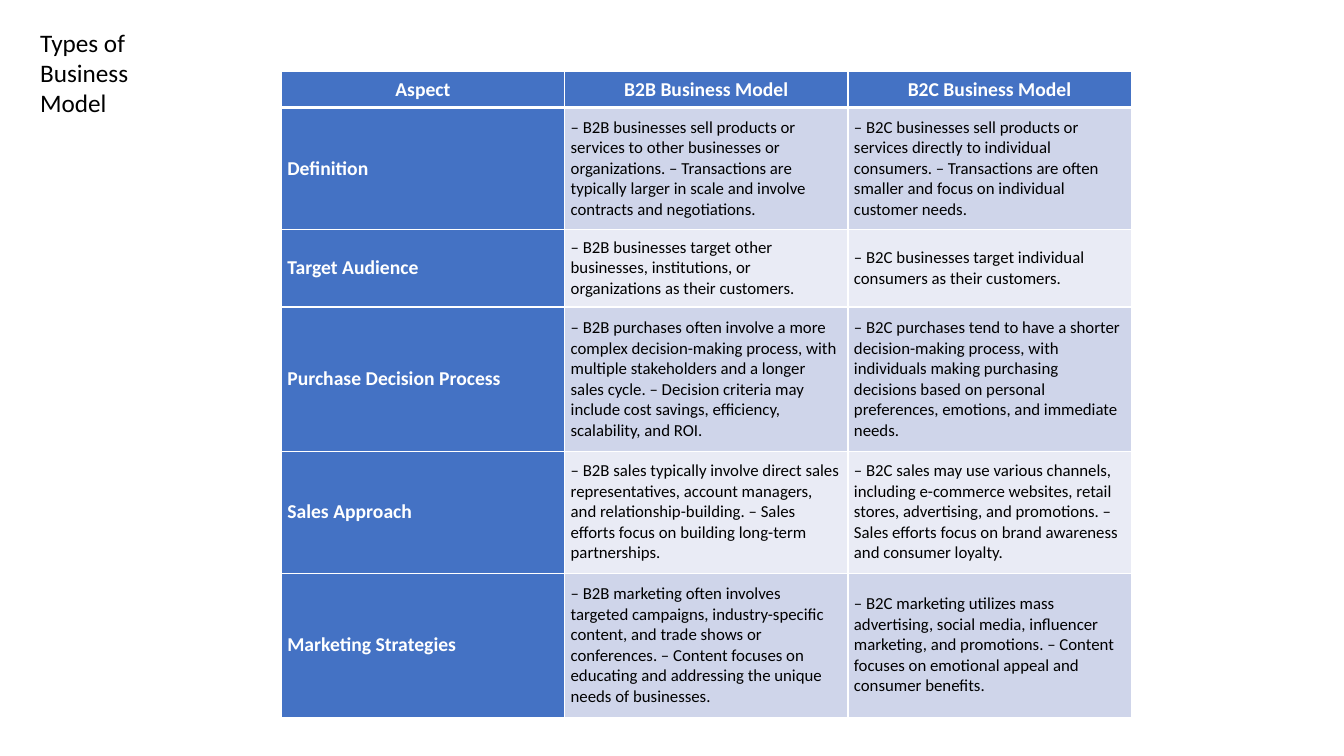
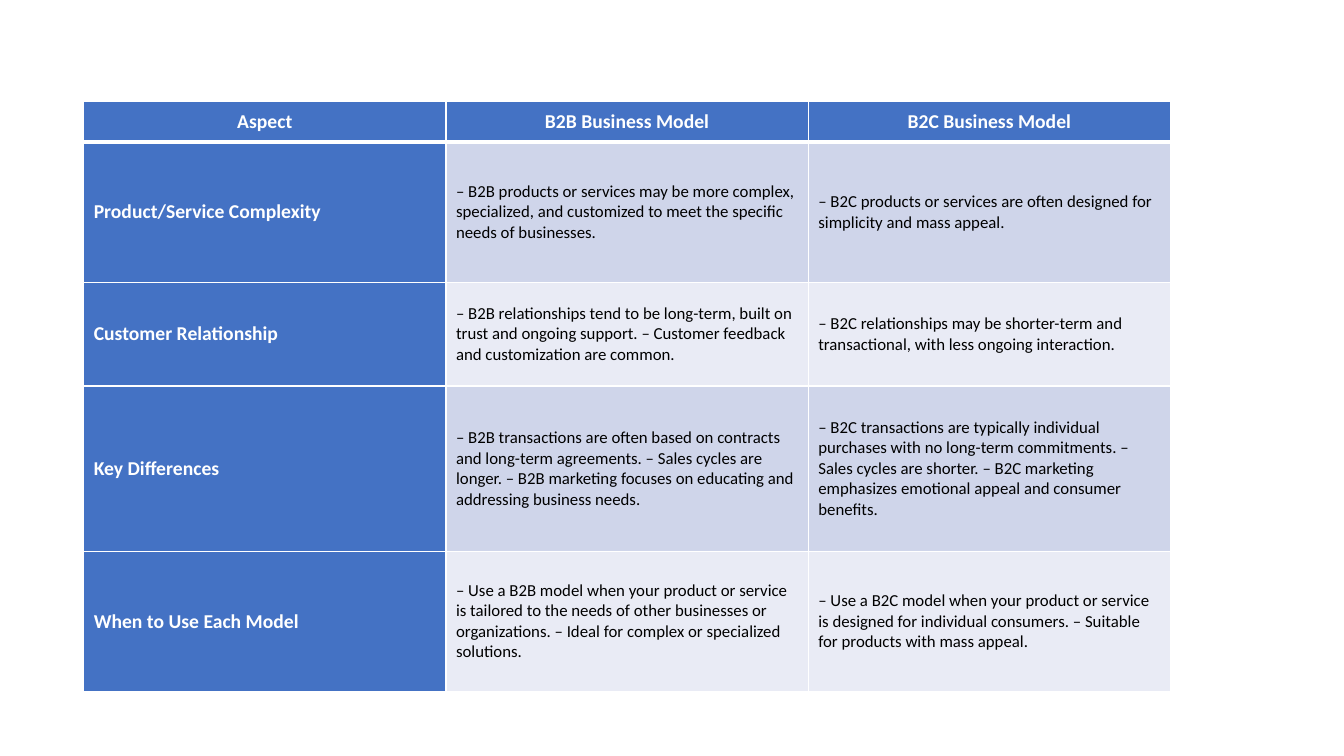
from dataclasses import dataclass

from lxml import etree
from pptx import Presentation
from pptx.dml.color import RGBColor
from pptx.enum.text import MSO_ANCHOR, MSO_AUTO_SIZE, PP_ALIGN
from pptx.oxml.ns import qn
from pptx.util import Inches, Pt

MIDDLE = MSO_ANCHOR.MIDDLE
CENTER, LEFT = PP_ALIGN.CENTER, PP_ALIGN.LEFT
FIT_SHAPE = MSO_AUTO_SIZE.SHAPE_TO_FIT_TEXT
BLANK_LAYOUT = 6


@dataclass(frozen=True)
class Theme:
    font: str = "Calibri"
    accent: str = "4472C4"
    bands: tuple = ("CFD5EA", "E9EBF5")
    light: str = "FFFFFF"
    dark: str = "000000"
    title_size: int = 18
    heading_size: int = 14
    body_size: int = 12
    rule: int = 1
    header_rule: int = 3


THEME = Theme()

# Table content: aspect, B2B, B2C
HEADER = ("Aspect", "B2B Business Model", "B2C Business Model")
MODEL_TYPES = [
    ("Definition",
     "– B2B businesses sell products or services to other businesses or organizations. "
     "– Transactions are typically larger in scale and involve contracts and negotiations.",
     "– B2C businesses sell products or services directly to individual consumers. "
     "– Transactions are often smaller and focus on individual customer needs."),
    ("Target Audience",
     "– B2B businesses target other businesses, institutions, or organizations as their customers.",
     "– B2C businesses target individual consumers as their customers."),
    ("Purchase Decision Process",
     "– B2B purchases often involve a more complex decision-making process, with multiple "
     "stakeholders and a longer sales cycle. – Decision criteria may include cost savings, "
     "efficiency, scalability, and ROI.",
     "– B2C purchases tend to have a shorter decision-making process, with individuals making "
     "purchasing decisions based on personal preferences, emotions, and immediate needs."),
    ("Sales Approach",
     "– B2B sales typically involve direct sales representatives, account managers, and "
     "relationship-building. – Sales efforts focus on building long-term partnerships.",
     "– B2C sales may use various channels, including e-commerce websites, retail stores, "
     "advertising, and promotions. – Sales efforts focus on brand awareness and consumer loyalty."),
    ("Marketing Strategies",
     "– B2B marketing often involves targeted campaigns, industry-specific content, and trade "
     "shows or conferences. – Content focuses on educating and addressing the unique needs of "
     "businesses.",
     "– B2C marketing utilizes mass advertising, social media, influencer marketing, and "
     "promotions. – Content focuses on emotional appeal and consumer benefits."),
]
MODEL_CHOICE = [
    ("Product/Service Complexity",
     "– B2B products or services may be more complex, specialized, and customized to meet the "
     "specific needs of businesses.",
     "– B2C products or services are often designed for simplicity and mass appeal."),
    ("Customer Relationship",
     "– B2B relationships tend to be long-term, built on trust and ongoing support. "
     "– Customer feedback and customization are common.",
     "– B2C relationships may be shorter-term and transactional, with less ongoing interaction."),
    ("Key Differences",
     "– B2B transactions are often based on contracts and long-term agreements. – Sales cycles "
     "are longer. – B2B marketing focuses on educating and addressing business needs.",
     "– B2C transactions are typically individual purchases with no long-term commitments. "
     "– Sales cycles are shorter. – B2C marketing emphasizes emotional appeal and consumer "
     "benefits."),
    ("When to Use Each Model",
     "– Use a B2B model when your product or service is tailored to the needs of other "
     "businesses or organizations. – Ideal for complex or specialized solutions.",
     "– Use a B2C model when your product or service is designed for individual consumers. "
     "– Suitable for products with mass appeal."),
]


def add_run(paragraph, text, size, color, bold=False):
    run = paragraph.add_run()
    run.text = text
    run.font.name = THEME.font
    run.font.size = Pt(size)
    run.font.bold = bold
    run.font.color.rgb = RGBColor.from_string(color)


def add_title(slide, text, left, top, width, height):
    box = slide.shapes.add_textbox(Inches(left), Inches(top), Inches(width), Inches(height))
    frame = box.text_frame
    frame.word_wrap = True
    frame.auto_size = FIT_SHAPE
    add_run(frame.paragraphs[0], text, THEME.title_size, THEME.dark)


def set_borders(cell, top, bottom):
    properties = cell._tc.get_or_add_tcPr()
    widths = {"a:lnL": THEME.rule, "a:lnR": THEME.rule, "a:lnT": top, "a:lnB": bottom}
    for tag, width in widths.items():
        line = etree.SubElement(properties, qn(tag), w=str(Pt(width)))
        fill = etree.SubElement(line, qn("a:solidFill"))
        etree.SubElement(fill, qn("a:srgbClr"), val=THEME.light)


def set_margins(cell, horizontal, vertical):
    cell.margin_left = cell.margin_right = Inches(horizontal)
    cell.margin_top = cell.margin_bottom = Inches(vertical)


def style_cell(cell, text, row, column, body_margins):
    is_header = row == 0
    is_heading = is_header or column == 0
    set_borders(cell,
                top=THEME.header_rule if row == 1 else THEME.rule,
                bottom=THEME.header_rule if is_header else THEME.rule)
    cell.fill.solid()
    fill = THEME.accent if is_heading else THEME.bands[(row - 1) % 2]
    cell.fill.fore_color.rgb = RGBColor.from_string(fill)
    cell.vertical_anchor = MIDDLE
    set_margins(cell, *((0.06, 0.06) if is_header else body_margins))

    paragraph = cell.text_frame.paragraphs[0]
    paragraph.alignment = CENTER if is_header else LEFT
    if is_heading:
        add_run(paragraph, text, THEME.heading_size, THEME.light, bold=True)
    else:
        add_run(paragraph, text, THEME.body_size, THEME.dark)


def add_comparison(slide, left, top, width, row_heights, body, body_margins):
    rows = [HEADER, *body]
    frame = slide.shapes.add_table(len(rows), len(HEADER), Inches(left), Inches(top),
                                   Inches(width), Inches(sum(row_heights)))
    table = frame.table
    for column in table.columns:
        column.width = Inches(width / len(HEADER))
    for row, (texts, height) in enumerate(zip(rows, row_heights)):
        table.rows[row].height = Inches(height)
        for column, text in enumerate(texts):
            style_cell(table.cell(row, column), text, row, column, body_margins)


def main():
    presentation = Presentation()
    presentation.slide_width = Inches(13.33)
    presentation.slide_height = Inches(7.5)
    blank = presentation.slide_layouts[BLANK_LAYOUT]

    # Types of business model
    slide = presentation.slides.add_slide(blank)
    add_comparison(slide, 2.79, 0.71, 8.43, (0.35, 1.21, 0.77, 1.43, 1.21, 1.43),
                   MODEL_TYPES, body_margins=(0.06, 0.06))
    add_title(slide, "Types of Business Model", 0.3, 0.22, 1.29, 1.01)

    # Choosing between the models
    slide = presentation.slides.add_slide(blank)
    add_comparison(slide, 0.83, 1.01, 10.78, (0.4, 1.39, 1.03, 1.64, 1.39),
                   MODEL_CHOICE, body_margins=(0.1, 0.05))

    presentation.save("out.pptx")


if __name__ == "__main__":
    main()
